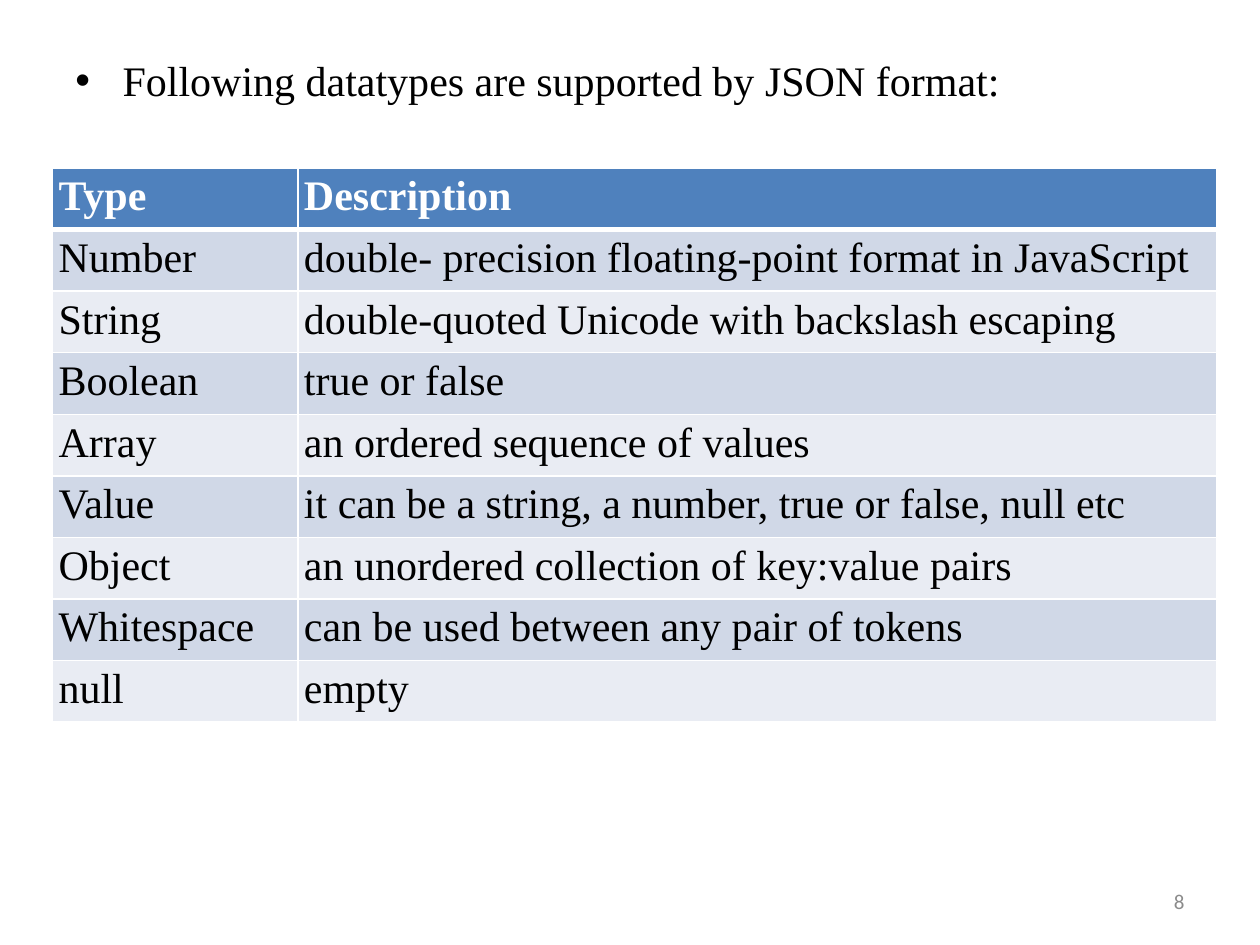
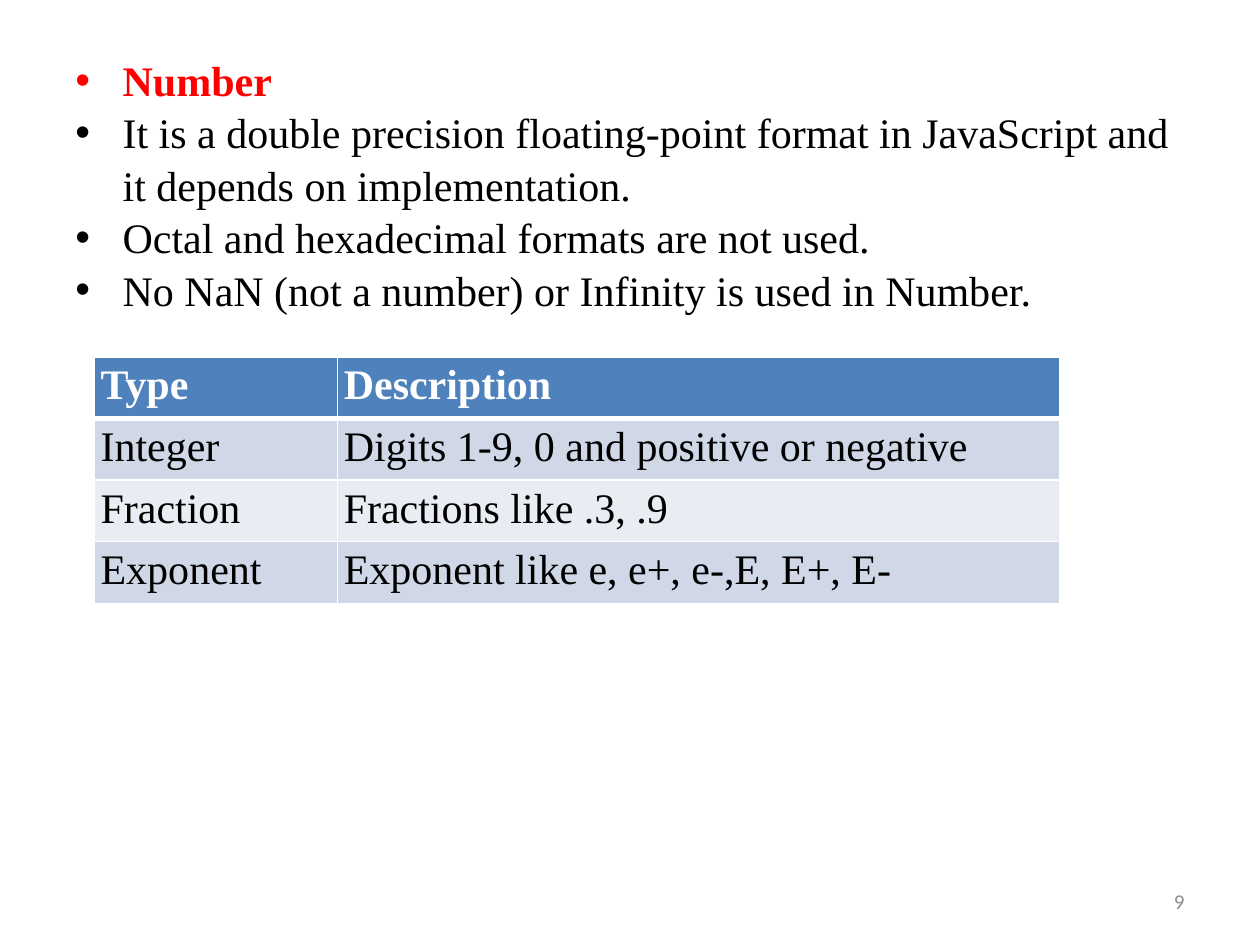
import lxml.etree
import pptx
import pptx.dml.color
import pptx.enum.text
import pptx.oxml.ns
import pptx.util

Pt = pptx.util.Pt
qn = pptx.oxml.ns.qn
BODY_FONT, NUMBER_FONT = "Times New Roman", "Calibri"
BLACK, WHITE, RED, GREY = "000000", "FFFFFF", "FF0000", "8B8B8B"
HEADER_FILL = "4F81BD"
BAND_FILLS = ["E9ECF3", "D0D8E7"]
ROW_HEIGHT = 34.05
BULLET_INDENT = 27
THIN, THICK = 0.96, 3


def color(hex_code):
    return pptx.dml.color.RGBColor.from_string(hex_code)


def add_span(para, text, hex_code, bold=False, font=BODY_FONT, size=24):
    span = para.add_run()
    span.text = text
    span.font.name = font
    span.font.size = Pt(size)
    span.font.bold = bold
    span.font.color.rgb = color(hex_code)


pages = [
    {
        "number": 8,
        "bullets": [("Following datatypes are supported by JSON format:", BLACK, False)],
        "table_left": 30,
        "table_top": 96,
        "columns": [140.25, 525.25],
        "rows": [
            ("Type", "Description"),
            ("Number", "double- precision floating-point format in JavaScript"),
            ("String", "double-quoted Unicode with backslash escaping"),
            ("Boolean", "true or false"),
            ("Array", "an ordered sequence of values"),
            ("Value", "it can be a string, a number, true or false, null etc"),
            ("Object", "an unordered collection of key:value pairs"),
            ("Whitespace", "can be used between any pair of tokens"),
            ("null", "empty"),
        ],
    },
    {
        "number": 9,
        "bullets": [
            ("Number", RED, True),
            ("It is a double precision floating-point format in JavaScript and "
             "it depends on implementation.", BLACK, False),
            ("Octal and hexadecimal formats are not used.", BLACK, False),
            ("No NaN (not a number) or Infinity is used in Number.", BLACK, False),
        ],
        "table_left": 54,
        "table_top": 204,
        "columns": [139, 412.75],
        "rows": [
            ("Type", "Description"),
            ("Integer", "Digits 1-9, 0 and positive or negative"),
            ("Fraction", "Fractions like .3, .9"),
            ("Exponent", "Exponent like e, e+, e-,E, E+, E-"),
        ],
    },
]

deck = pptx.Presentation()
deck.slide_width, deck.slide_height = Pt(720), Pt(540)

for content in pages:
    page = deck.slides.add_slide(deck.slide_layouts[6])

    # Bulleted text
    box = page.shapes.add_textbox(Pt(36), Pt(24), Pt(648), Pt(458.6))
    frame = box.text_frame
    frame.word_wrap = True
    frame.margin_top = Pt(6)
    for index, (text, hex_code, bold) in enumerate(content["bullets"]):
        para = frame.add_paragraph() if index else frame.paragraphs[0]
        para.line_spacing = 1.04
        add_span(para, text, hex_code, bold)
        properties = para._p.get_or_add_pPr()
        properties.set("marL", str(Pt(BULLET_INDENT)))
        properties.set("indent", str(-Pt(BULLET_INDENT)))
        bullet_color = lxml.etree.SubElement(properties, qn("a:buClr"))
        lxml.etree.SubElement(bullet_color, qn("a:srgbClr"), val=hex_code)
        lxml.etree.SubElement(properties, qn("a:buFont"), typeface="Arial")
        lxml.etree.SubElement(properties, qn("a:buChar"), char="•")

    # Page number
    box = page.shapes.add_textbox(Pt(516), Pt(500.5), Pt(168), Pt(28.75))
    frame = box.text_frame
    frame.word_wrap = True
    frame.vertical_anchor = pptx.enum.text.MSO_ANCHOR.MIDDLE
    para = frame.paragraphs[0]
    para.alignment = pptx.enum.text.PP_ALIGN.RIGHT
    add_span(para, str(content["number"]), GREY, font=NUMBER_FONT, size=12)

    # Datatype table
    rows, columns = content["rows"], content["columns"]
    table = page.shapes.add_table(
        len(rows), len(columns), Pt(content["table_left"]), Pt(content["table_top"]),
        Pt(sum(columns)), Pt(ROW_HEIGHT * len(rows))).table
    for column, width in zip(table.columns, columns):
        column.width = Pt(width)
    for row_index, row in enumerate(rows):
        table.rows[row_index].height = Pt(ROW_HEIGHT)
        is_header = row_index == 0
        borders = {
            "a:lnL": THIN,
            "a:lnR": THIN,
            "a:lnT": THICK if row_index == 1 else THIN,
            "a:lnB": THICK if is_header else THIN,
        }
        for column_index, text in enumerate(row):
            cell = table.cell(row_index, column_index)
            cell.margin_left = cell.margin_right = Pt(3.5)
            cell.margin_top = cell.margin_bottom = Pt(3.2)
            for tag, width in borders.items():
                line = lxml.etree.SubElement(
                    cell._tc.get_or_add_tcPr(), qn(tag), w=str(Pt(width)))
                line_fill = lxml.etree.SubElement(line, qn("a:solidFill"))
                lxml.etree.SubElement(line_fill, qn("a:srgbClr"), val=WHITE)
            cell.fill.solid()
            cell.fill.fore_color.rgb = color(
                HEADER_FILL if is_header else BAND_FILLS[row_index % 2])
            add_span(cell.text_frame.paragraphs[0], text,
                     WHITE if is_header else BLACK, is_header)

deck.save("out.pptx")
